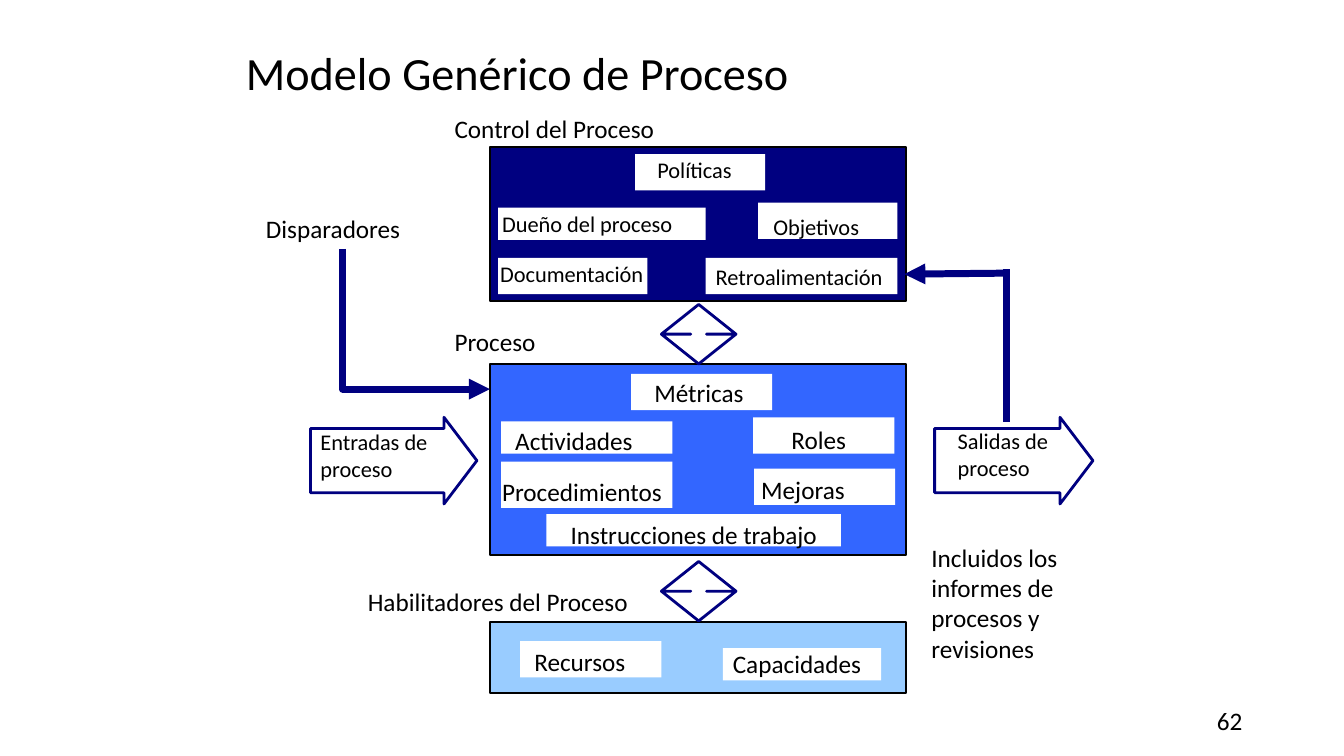
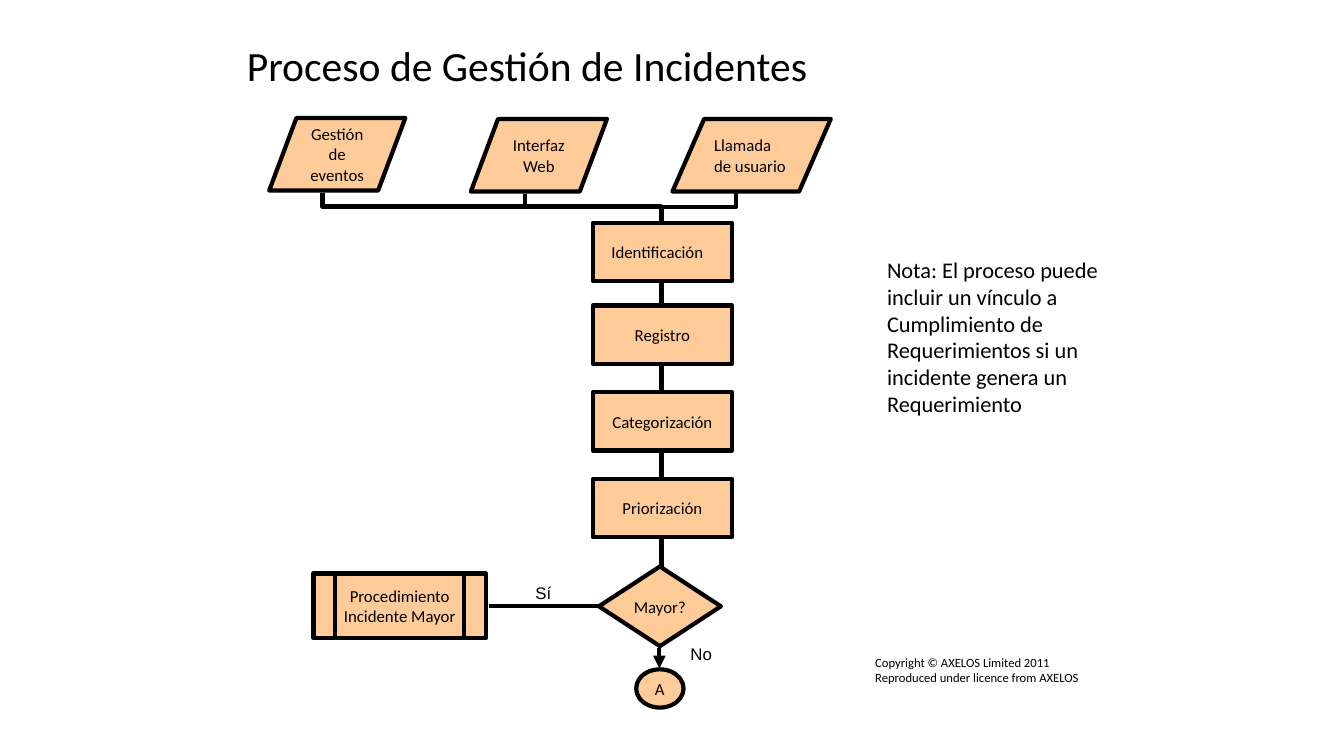
"""Builds two slides on process models."""
import lxml.etree
import pptx
import pptx.dml.color
import pptx.enum.shapes
import pptx.enum.text
import pptx.oxml.ns
import pptx.util

Inches = pptx.util.Inches
SHAPE = pptx.enum.shapes.MSO_SHAPE
LINK = pptx.enum.shapes.MSO_CONNECTOR
ALIGN = pptx.enum.text.PP_ALIGN
ANCHOR = pptx.enum.text.MSO_ANCHOR
BLACK, WHITE, NAVY = "000000", "FFFFFF", "000080"
BLUE, SKY, PEACH = "3366FF", "99CCFF", "FFCC99"
PAD = (0.1, 0.05, 0.1, 0.05)


def paint(code):
    """Turn a hex string into a colour."""
    return pptx.dml.color.RGBColor.from_string(code)


def write(shape, text, size=12, font="Calibri", align=ALIGN.LEFT,
          anchor=ANCHOR.TOP, wrap=True, pad=PAD, space=None):
    """Put text into a shape, one paragraph for each line."""
    frame = shape.text_frame
    frame.text = text
    frame.word_wrap = wrap
    frame.vertical_anchor = anchor
    (frame.margin_left, frame.margin_top,
     frame.margin_right, frame.margin_bottom) = map(Inches, pad)
    for para in frame.paragraphs:
        para.alignment = align
        para.line_spacing = space
        para.font.size = pptx.util.Pt(size)
        para.font.name = font
        para.font.color.rgb = paint(BLACK)


def label(slide, text, box, **style):
    """Add a text box."""
    write(slide.shapes.add_textbox(*map(Inches, box)), text, **style)


def title(slide, text, box, size):
    """Add the slide title."""
    label(slide, text, box, size=size, anchor=ANCHOR.MIDDLE, space=0.9)


def block(slide, kind, box, fill, edge=None, width=1.38, bend=()):
    """Add a filled preset shape."""
    shape = slide.shapes.add_shape(kind, *map(Inches, box))
    shape.shadow.inherit = False
    shape.fill.solid()
    shape.fill.fore_color.rgb = paint(fill)
    if edge:
        shape.line.color.rgb = paint(edge)
        shape.line.width = pptx.util.Pt(width)
    else:
        shape.line.fill.background()
    for i, value in enumerate(bend):
        shape.adjustments[i] = value
    return shape


def tag(slide, text, box, left, top, size):
    """Add a white plate with text set in from its corner."""
    plate = block(slide, SHAPE.RECTANGLE, box, WHITE)
    write(plate, text, size=size, pad=(left, top, 0, 0))


def step(slide, kind, text, box, **style):
    """Add a flow chart step."""
    style = {"align": ALIGN.CENTER, "anchor": ANCHOR.MIDDLE, **style}
    write(block(slide, kind, box, PEACH, BLACK, 3), text, **style)


def wire(slide, ends, code=BLACK, width=3, tip=False, kind=LINK.STRAIGHT):
    """Add a connector, with an arrowhead if tip is set."""
    line = slide.shapes.add_connector(kind, *map(Inches, ends))
    line.line.color.rgb = paint(code)
    line.line.width = pptx.util.Pt(width)
    props = line._element.spPr
    if tip:
        stroke = props.find(pptx.oxml.ns.qn("a:ln"))
        lxml.etree.SubElement(stroke, pptx.oxml.ns.qn("a:tailEnd"),
                              type="triangle")
    lxml.etree.SubElement(props, pptx.oxml.ns.qn("a:effectLst"))
    return props


def elbow(slide, ends, single=False, **style):
    """Add a bent connector that leaves its start downwards."""
    x1, y1, x2, y2 = ends
    mid_x, mid_y = (x1 + x2) / 2, (y1 + y2) / 2
    side = 1 if x2 > x1 else -1
    half_w, half_h = side * (y2 - y1) / 2, abs(x2 - x1) / 2
    turned = (mid_x + half_w, mid_y - half_h, mid_x - half_w, mid_y + half_h)
    props = wire(slide, turned, kind=LINK.ELBOW, **style)
    frame = props.find(pptx.oxml.ns.qn("a:xfrm"))
    frame.set("rot", str((270 if side > 0 else 90) * 60000))
    if single:
        shape = props.find(pptx.oxml.ns.qn("a:prstGeom"))
        shape.set("prst", "bentConnector2")


def model(slide):
    """Draw the generic process model."""
    title(slide, "Modelo Genérico de Proceso", (2.34, 0.02, 8.62, 1.45), 33)
    label(slide, "62", (9.42, 6.95, 3, 0.4), size=18, align=ALIGN.RIGHT,
          anchor=ANCHOR.MIDDLE)
    for top, high, fill in ((1.46, 1.53, NAVY), (3.61, 1.9, BLUE),
                            (6.17, 0.71, SKY)):
        block(slide, SHAPE.RECTANGLE, (4.86, top, 4.13, high), fill, BLACK)
    for top in (3.02, 5.57):
        block(slide, SHAPE.UP_DOWN_ARROW, (6.56, top, 0.74, 0.59), WHITE,
              NAVY, 2, (0.72, 0.21))
    for left, wide in ((3.08, 1.65), (9.27, 1.57)):
        block(slide, SHAPE.RIGHT_ARROW, (left, 4.14, wide, 0.86), WHITE,
              NAVY, 2, (0.74, 0.38))
    for text, box, size in (
            ("Control del Proceso", (4.41, 1.08, 2.48, 0.4), 18),
            ("Disparadores", (2.54, 2.07, 1.73, 0.4), 18),
            ("Proceso", (4.41, 3.19, 1.23, 0.4), 18),
            ("Habilitadores del Proceso", (3.55, 5.77, 3.14, 0.4), 18),
            ("Entradas de proceso", (3.08, 4.2, 1.36, 0.64), 16),
            ("Salidas de proceso", (9.4, 4.19, 1.16, 0.64), 16),
            ("Incluidos los informes de procesos y revisiones",
             (9.14, 5.33, 1.67, 1.31), 18)):
        label(slide, text, box, size=size)
    for text, box, left, top, size in (
            ("Políticas", (6.3, 1.53, 1.29, 0.36), 0.22, 0.02, 16),
            ("Dueño del proceso", (4.94, 2.06, 2.06, 0.32), 0.04, 0.02, 16),
            ("Objetivos", (7.52, 2.01, 1.38, 0.36), 0.15, 0.1, 16),
            ("Documentación", (4.94, 2.56, 1.48, 0.36), 0.02, 0.02, 16),
            ("Retroalimentación", (7, 2.56, 1.9, 0.36), 0.1, 0.05, 16),
            ("Métricas", (6.26, 3.71, 1.4, 0.36), 0.23, 0.03, 18),
            ("Actividades", (4.97, 4.18, 1.7, 0.32), 0.14, 0.04, 18),
            ("Roles", (7.47, 4.14, 1.4, 0.36), 0.38, 0.07, 18),
            ("Procedimientos", (4.97, 4.58, 1.7, 0.46), 0.01, 0.15, 18),
            ("Mejoras", (7.48, 4.65, 1.4, 0.36), 0.07, 0.06, 18),
            ("Instrucciones de trabajo", (5.42, 5.1, 2.92, 0.32),
             0.24, 0.05, 18),
            ("Recursos", (5.16, 6.36, 1.4, 0.36), 0.14, 0.05, 18),
            ("Capacidades", (7.17, 6.43, 1.57, 0.32), 0.1, 0, 18)):
        tag(slide, text, box, left, top, size)
    elbow(slide, (3.4, 2.47, 4.86, 3.86), single=True, code=NAVY, width=5,
          tip=True)
    wire(slide, (9.97, 2.71, 8.97, 2.72), NAVY, 5, tip=True)
    wire(slide, (9.98, 2.67, 9.98, 4.19), NAVY, 5)


def flow(slide):
    """Draw the incident flow chart."""
    title(slide, "Proceso de Gestión de Incidentes",
          (2.35, 0.4, 8.62, 0.56), 29.7)
    label(slide, "Copyright © AXELOS Limited 2011\n"
          "Reproduced under licence from AXELOS",
          (8.68, 6.5, 2.99, 0.3), size=9, pad=(0, 0, 0, 0))
    label(slide, "Nota: El proceso puede incluir un vínculo a Cumplimiento "
          "de Requerimientos si un incidente genera un Requerimiento",
          (8.7, 2.49, 2.46, 1.75), size=16)
    wire(slide, (6.56, 2.08, 6.56, 5.63))
    for text, left, top, wide, align in (
            ("Gestión de eventos", 2.67, 1.17, 1.35, ALIGN.CENTER),
            ("Interfaz\nWeb", 4.67, 1.18, 1.35, ALIGN.CENTER),
            ("Llamada de usuario", 6.67, 1.18, 1.57, ALIGN.LEFT)):
        step(slide, SHAPE.FLOWCHART_DATA, text, (left, top, wide, 0.72),
             align=align)
    for text, top, right in (("Identificación", 2.21, 0.2),
                             ("Registro", 3.03, 0.1),
                             ("Categorización", 3.89, 0.1),
                             ("Priorización", 4.75, 0.1)):
        step(slide, SHAPE.FLOWCHART_PROCESS, text, (5.88, top, 1.38, 0.58),
             pad=(0.1, 0.05, right, 0.05))
    for left, top, end in ((3.2, 1.91, 2.19), (5.21, 1.92, 2.19),
                           (7.3, 1.9, 2.21)):
        elbow(slide, (left, top, 6.56, end))
    step(slide, SHAPE.FLOWCHART_DECISION, "Mayor?",
         (5.94, 5.62, 1.21, 0.79), wrap=False)
    step(slide, SHAPE.FLOWCHART_PREDEFINED_PROCESS,
         "Procedimiento\nIncidente Mayor", (3.11, 5.69, 1.71, 0.64),
         wrap=False)
    wire(slide, (4.85, 6.01, 5.94, 6.01))
    wire(slide, (6.54, 6.43, 6.54, 6.63), tip=True)
    label(slide, "Sí", (5.21, 5.73, 0.36, 0.3), font="Arial",
          align=ALIGN.CENTER, wrap=False)
    label(slide, "No", (6.75, 6.34, 0.41, 0.3), font="Arial", wrap=False)
    step(slide, SHAPE.FLOWCHART_CONNECTOR, "A", (6.31, 6.64, 0.47, 0.38),
         wrap=False)


def main():
    """Build and save the deck."""
    deck = pptx.Presentation()
    deck.slide_width, deck.slide_height = Inches(13.33), Inches(7.5)
    for draw in (model, flow):
        draw(deck.slides.add_slide(deck.slide_layouts[6]))
    deck.save("out.pptx")


if __name__ == "__main__":
    main()
